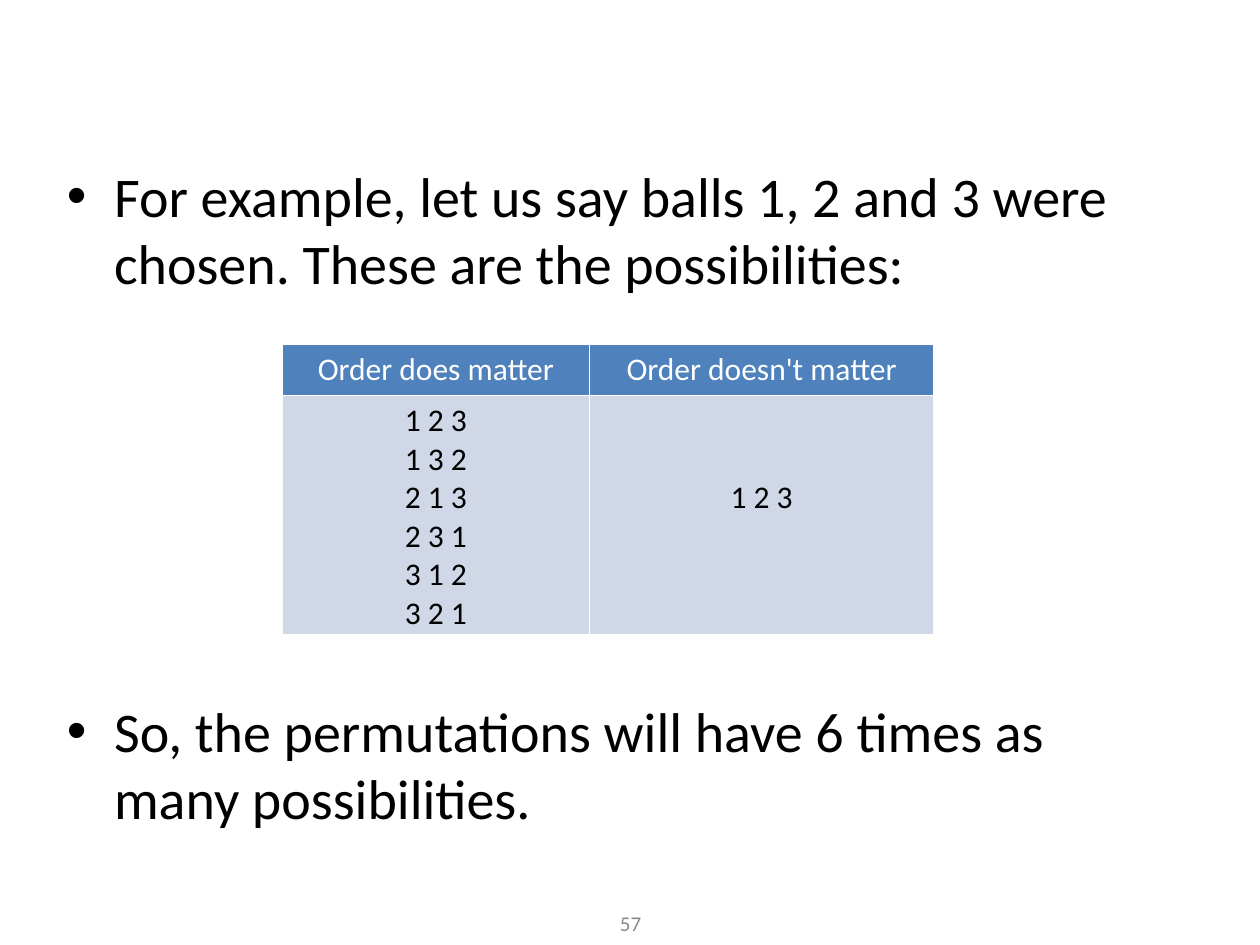
from dataclasses import dataclass
from itertools import permutations

from lxml.etree import SubElement
from pptx import Presentation
from pptx.dml.color import RGBColor
from pptx.enum.text import MSO_ANCHOR, PP_ALIGN
from pptx.oxml.ns import qn
from pptx.util import Inches, Pt


@dataclass(frozen=True)
class Theme:
    """Colours and type sizes of the deck."""
    font: str = "Calibri"
    text: str = "000000"
    light: str = "FFFFFF"
    muted: str = "898989"
    header: str = "4F81BD"
    band: str = "D0D8E8"
    body_size: int = 32
    table_size: int = 18
    number_size: int = 12


THEME = Theme()


def add_run(paragraph, text, size, color):
    """Append one formatted run."""
    run = paragraph.add_run()
    run.text = text
    run.font.name = THEME.font
    run.font.size = Pt(size)
    run.font.bold = False
    run.font.color.rgb = RGBColor.from_string(color)


def place(shape, box):
    """Move a shape to a box of left, top, width and height in inches."""
    shape.left, shape.top, shape.width, shape.height = map(Inches, box)


def add_points(body, box, points, gap):
    """Fill the body placeholder with points set apart by a gap."""
    place(body, box)
    frame = body.text_frame
    for index, point in enumerate(points):
        paragraph = frame.add_paragraph() if index else frame.paragraphs[0]
        paragraph.space_before = gap if index else Pt(0)
        add_run(paragraph, point, THEME.body_size, THEME.text)


def outline_cell(cell, color, width):
    """Draw the four borders of a cell."""
    properties = cell._tc.get_or_add_tcPr()
    for side in ("a:lnL", "a:lnR", "a:lnT", "a:lnB"):
        line = SubElement(properties, qn(side), w=str(width))
        SubElement(SubElement(line, qn("a:solidFill")), qn("a:srgbClr"), val=color)


def fill_cell(cell, lines, fill, color):
    """Write centred lines into a bordered, filled cell."""
    outline_cell(cell, THEME.light, Pt(1))
    cell.fill.solid()
    cell.fill.fore_color.rgb = RGBColor.from_string(fill)
    paragraph = cell.text_frame.paragraphs[0]
    paragraph.alignment = PP_ALIGN.CENTER
    for index, line in enumerate(lines):
        if index:
            paragraph.add_line_break()
        add_run(paragraph, line, THEME.table_size, color)


def add_orders_table(slide, box, widths, heights):
    """Compare the ordered and unordered choices of three balls."""
    orders = [" ".join(order) for order in permutations("123")]
    columns = {"Order does matter": orders, "Order doesn't matter": orders[:1]}
    table = slide.shapes.add_table(len(heights), len(widths), *map(Inches, box)).table
    for row, height in zip(table.rows, heights):
        row.height = Inches(height)
    for index, (heading, choices) in enumerate(columns.items()):
        table.columns[index].width = Inches(widths[index])
        fill_cell(table.cell(0, index), [heading], THEME.header, THEME.light)
        fill_cell(table.cell(1, index), choices, THEME.band, THEME.text)
    table.cell(1, 1).margin_top = Inches(0.66)


def add_page_number(slide, box, number):
    """Centre the page number in its box."""
    frame = slide.shapes.add_textbox(*map(Inches, box)).text_frame
    frame.word_wrap = True
    frame.vertical_anchor = MSO_ANCHOR.MIDDLE
    frame.paragraphs[0].alignment = PP_ALIGN.CENTER
    add_run(frame.paragraphs[0], number, THEME.number_size, THEME.muted)


def main():
    """Build and save the slide."""
    deck = Presentation()
    deck.slide_width, deck.slide_height = Inches(10), Inches(7.5)
    slide = deck.slides.add_slide(deck.slide_layouts[1])
    title = slide.shapes.title
    title.element.getparent().remove(title.element)
    points = [
        "For example, let us say balls 1, 2 and 3 were chosen. These are the possibilities:",
        "So, the permutations will have 6 times as many possibilities.",
    ]
    add_points(slide.placeholders[1], (0.43, 1.23, 9, 5.51), points, Pt(229))
    add_page_number(slide, (3.42, 7.13, 3.17, 0.4), "57")
    add_orders_table(slide, (2.24, 2.73, 5.17, 2.31), (2.44, 2.73), (0.41, 1.9))
    deck.save("out.pptx")


if __name__ == "__main__":
    main()
